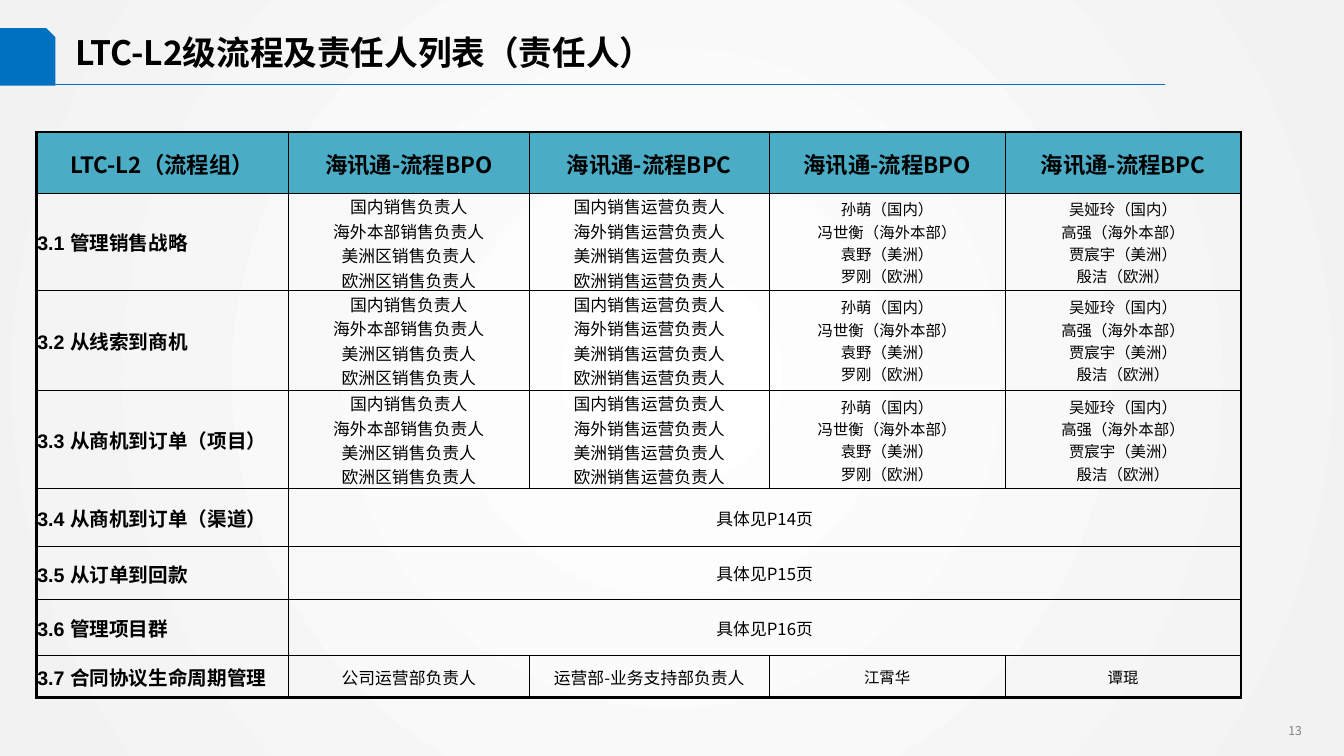
from dataclasses import dataclass

from lxml import etree
from pptx import Presentation
from pptx.dml.color import RGBColor
from pptx.enum.shapes import MSO_CONNECTOR, MSO_SHAPE
from pptx.enum.text import MSO_ANCHOR, PP_ALIGN
from pptx.oxml.ns import qn
from pptx.util import Inches, Pt

LEFT, CENTER, RIGHT = PP_ALIGN.LEFT, PP_ALIGN.CENTER, PP_ALIGN.RIGHT
TOP, MIDDLE = MSO_ANCHOR.TOP, MSO_ANCHOR.MIDDLE
SNIP = MSO_SHAPE.SNIP_1_RECTANGLE
STRAIGHT = MSO_CONNECTOR.STRAIGHT


@dataclass(frozen=True)
class Theme:
    cjk: str = "Noto Sans CJK SC"
    latin: str = "Arial"
    black: str = "000000"
    blue: str = "0070C0"
    teal: str = "4BACC6"
    grey: str = "808080"
    bg_inner: str = "FFFFFF"
    bg_outer: str = "F2F2F2"
    title: float = 24
    header: float = 16
    label: float = 14
    role: float = 12
    person: float = 11
    page: float = 8.7
    thin: float = 0.5
    thick: float = 2.25


THEME = Theme()


def rgb(value):
    return RGBColor.from_string(value)


def write(tf, text, *, size, font=THEME.cjk, color=THEME.black, bold=False, align=LEFT):
    """Fill a text frame, one paragraph per line of text."""
    for i, line in enumerate(text.split("\n")):
        p = tf.paragraphs[0] if i == 0 else tf.add_paragraph()
        p.alignment = align
        r = p.add_run()
        r.text = line
        r.font.name, r.font.size, r.font.bold = font, Pt(size), bold
        r.font.color.rgb = rgb(color)
        etree.SubElement(r.font._element, qn("a:ea")).set("typeface", THEME.cjk)


class SlideBuilder:
    def __init__(self, prs, theme):
        self.theme = theme
        self.s = prs.slides.add_slide(prs.slide_layouts[6])

    def background(self):
        fill = self.s.background.fill
        fill.gradient()
        colors = (self.theme.bg_inner, self.theme.bg_outer)
        for i, (stop, color) in enumerate(zip(fill.gradient_stops, colors)):
            stop.color.rgb = rgb(color)
            stop.position = i
        grad = self.s._element.find(".//" + qn("a:gradFill"))
        grad.remove(grad.find(qn("a:lin")))
        circle = etree.SubElement(grad, qn("a:path"))
        circle.set("path", "circle")
        center = etree.SubElement(circle, qn("a:fillToRect"))
        for side in "ltrb":
            center.set(side, "50000")

    def text(self, box, text, *, anchor=TOP, inset=None, **style):
        tf = self.s.shapes.add_textbox(*map(Inches, box)).text_frame
        tf.word_wrap = True
        tf.vertical_anchor = anchor
        if inset is not None:
            tf.margin_left = tf.margin_right = Inches(inset)
            tf.margin_top = tf.margin_bottom = Inches(inset)
        write(tf, text, **style)

    def shape(self, kind, box, color):
        sp = self.s.shapes.add_shape(kind, *map(Inches, box))
        sp.shadow.inherit = False
        sp.fill.solid()
        sp.fill.fore_color.rgb = rgb(color)
        sp.line.fill.background()

    def line(self, start, end, color, width):
        cx = self.s.shapes.add_connector(STRAIGHT, *map(Inches, start + end))
        cx.line.color.rgb = rgb(color)
        cx.line.width = Pt(width)
        etree.SubElement(cx._element.spPr, qn("a:effectLst"))

    def borders(self, cell, widths):
        """Draw the cell edges; widths run left, right, top, bottom."""
        tc_pr = cell._tc.get_or_add_tcPr()
        for i, (side, width) in enumerate(zip("LRTB", widths)):
            ln = etree.Element(qn("a:ln" + side), w=str(Pt(width)))
            fill = etree.SubElement(ln, qn("a:solidFill"))
            etree.SubElement(fill, qn("a:srgbClr")).set("val", self.theme.black)
            tc_pr.insert(i, ln)

    def cell_style(self, row, col):
        t = self.theme
        if row == 0:
            return dict(size=t.header, bold=True, align=CENTER)
        if col == 0:
            return dict(size=t.label, font=t.latin, bold=True)
        return dict(size=t.role if col < 3 else t.person, align=CENTER)

    def table(self, origin, col_widths, row_heights, rows):
        """Add a table; a row of two texts merges its second cell to the end."""
        t = self.theme
        size = (sum(col_widths), sum(row_heights))
        tbl = self.s.shapes.add_table(
            len(row_heights), len(col_widths), *map(Inches, origin + size)).table
        tbl.first_row = tbl.horz_banding = False
        for column, width in zip(tbl.columns, col_widths):
            column.width = Inches(width)
        for row, height in zip(tbl.rows, row_heights):
            row.height = Inches(height)

        last_row, last_col = len(row_heights) - 1, len(col_widths) - 1
        for i, texts in enumerate(rows):
            if len(texts) == 2:
                tbl.cell(i, 1).merge(tbl.cell(i, last_col))
            for j, text in enumerate(texts):
                cell = tbl.cell(i, j)
                cell.vertical_anchor = MIDDLE
                cell.margin_left = cell.margin_right = cell.margin_top = Inches(0.01)
                cell.margin_bottom = 0
                if i == 0:
                    cell.fill.solid()
                    cell.fill.fore_color.rgb = rgb(t.teal)
                else:
                    cell.fill.background()
                write(cell.text_frame, text, **self.cell_style(i, j))
                outer = (j == 0, j == len(texts) - 1, i == 0, i == last_row)
                self.borders(cell, [t.thick if edge else t.thin for edge in outer])


HEADER = ["LTC-L2（流程组）"] + ["海讯通-流程BPO", "海讯通-流程BPC"] * 2
REGIONAL_OWNERS = [
    "国内销售负责人\n海外本部销售负责人\n美洲区销售负责人\n欧洲区销售负责人",
    "国内销售运营负责人\n海外销售运营负责人\n美洲销售运营负责人\n欧洲销售运营负责人",
    "孙萌（国内）\n冯世衡（海外本部）\n袁野（美洲）\n罗刚（欧洲）",
    "吴娅玲（国内）\n高强（海外本部）\n贾宸宇（美洲）\n殷洁（欧洲）",
]
PROCESSES = [
    ("管理销售战略", REGIONAL_OWNERS),
    ("从线索到商机", REGIONAL_OWNERS),
    ("从商机到订单（项目）", REGIONAL_OWNERS),
    ("从商机到订单（渠道）", ["具体见P14页"]),
    ("从订单到回款", ["具体见P15页"]),
    ("管理项目群", ["具体见P16页"]),
    ("合同协议生命周期管理",
     ["公司运营部负责人", "运营部-业务支持部负责人", "江霄华", "谭琨"]),
]


def main():
    prs = Presentation()
    prs.slide_width, prs.slide_height = Inches(13.33), Inches(7.5)
    slide = SlideBuilder(prs, THEME)

    # Background, page number and title band
    slide.background()
    slide.text((11.99, 7.13, 1.02, 0.36), "13",
               size=THEME.page, color=THEME.grey, align=RIGHT)
    slide.shape(SNIP, (0, 0.28, 0.55, 0.57), THEME.blue)
    slide.line((0.53, 0.84), (11.55, 0.84), THEME.blue, 0.75)
    slide.text((0.75, 0.23, 10.94, 0.58), "LTC-L2级流程及责任人列表（责任人）",
               anchor=MIDDLE, inset=0, size=THEME.title, bold=True)

    # Process owners
    rows = [HEADER] + [[f"3.{n} {name}"] + owners
                       for n, (name, owners) in enumerate(PROCESSES, 1)]
    slide.table((0.36, 1.31), (2.5, 2.39, 2.38, 2.34, 2.34),
                (0.61, 0.96, 0.99, 0.98, 0.57, 0.53, 0.55, 0.42), rows)

    prs.save("out.pptx")


if __name__ == "__main__":
    main()
